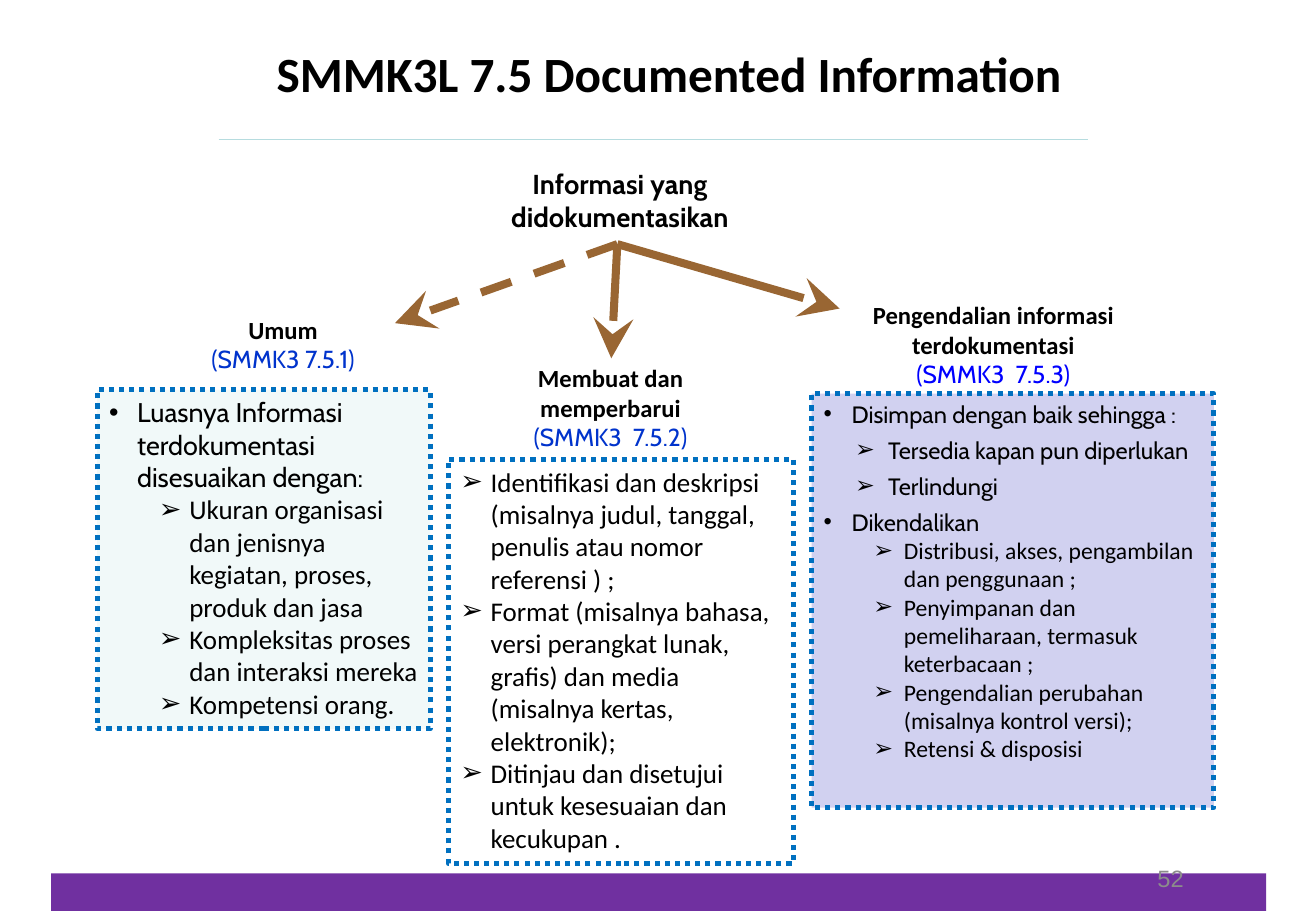
from lxml import etree
from pptx import Presentation
from pptx import util as u
from pptx.dml.color import RGBColor
from pptx.enum import dml, shapes, text
from pptx.oxml.ns import qn

COLORS = {
    "black": "000000", "bar": "7030A0", "border": "0070C0", "arrow": "996633",
    "rule": "B6DCDF", "number": "8C8C8C", "clause": "0033CC", "control": "0000FF",
    "mint": "F1F9F9", "white": "FFFFFF", "lavender": "D1D1F0",
}
LEVELS = {
    "point": (0, 0.23, -0.23, "•"),
    "step": (0, 0.25, -0.25, "➢"),
    "aim": (1, 0.53, -0.27, "➢"),
    "detail": (1, 0.66, -0.25, "➢"),
}

presentation = Presentation()
presentation.slide_width = u.Inches(10.83)
presentation.slide_height = u.Inches(7.5)
slide = presentation.slides.add_slide(presentation.slide_layouts[5])


def share(*percents):
    sides = (presentation.slide_width, presentation.slide_height)
    return [round(sides[i % 2] * percent / 100) for i, percent in enumerate(percents)]


def write(paragraph, words, size, font, color="black", bold=False, align=None):
    paragraph.text = words
    paragraph.alignment = align
    paragraph.font.size = u.Pt(size)
    paragraph.font.name = font
    paragraph.font.bold = bold
    paragraph.font.color.rgb = RGBColor.from_string(COLORS[color])


CENTER = text.PP_ALIGN.CENTER

bar = slide.shapes.add_shape(shapes.MSO_SHAPE.RECTANGLE, *share(3.88, 95.87, 92.34, 4.13))
bar.shadow.inherit = False
bar.fill.solid()
bar.fill.fore_color.rgb = RGBColor.from_string(COLORS["bar"])
bar.line.fill.background()

title = slide.shapes.title
title.left, title.top, title.width, title.height = share(17.82, 3.33, 66.02, 9.33)
title.text_frame.vertical_anchor = text.MSO_ANCHOR.MIDDLE
write(title.text_frame.paragraphs[0], "SMMK3L 7.5 Documented Information",
      29.2, "Calibri", bold=True, align=CENTER)

labels = [
    ((33.89, 17.73, 26.41, 8.67),
     [("Informasi yang didokumentasikan", 16.2, "Cabin", "black", True, CENTER)]),
    ((10.25, 33.87, 22.53, 7.87),
     [("Umum", 14.6, "Calibri", "black", True, CENTER),
      ("(SMMK3 7.5.1)", 14.6, "Cabin", "clause", False, CENTER)]),
    ((34.53, 39.2, 23.73, 11.2),
     [("Membuat dan memperbarui", 14.6, "Calibri", "black", True, CENTER),
      ("(SMMK3  7.5.2)", 14.6, "Cabin", "clause", False, CENTER)]),
    ((64.82, 32.27, 21.33, 11.2),
     [("Pengendalian informasi terdokumentasi", 14.6, "Calibri", "black", True, CENTER),
      ("(SMMK3  7.5.3)", 14.6, "Cabin", "control", False, CENTER)]),
    ((70.08, 94.13, 20.78, 5.33),
     [("52", 14, "Arial", "number", False, text.PP_ALIGN.RIGHT)]),
]
for place, lines in labels:
    frame = slide.shapes.add_textbox(*share(*place)).text_frame
    frame.word_wrap = True
    for i, line in enumerate(lines):
        write(frame.add_paragraph() if i else frame.paragraphs[0], *line)

panels = [
    ((7.39, 42.8, 25.3, 37.2), "mint", 16, [
        ("point", "Cabin", 0, "Luasnya Informasi terdokumentasi disesuaikan dengan:"),
        ("detail", "Calibri", 0, "Ukuran organisasi dan jenisnya kegiatan, proses, produk dan jasa"),
        ("detail", "Calibri", 0, "Kompleksitas proses dan interaksi mereka"),
        ("detail", "Calibri", 0, "Kompetensi orang."),
    ]),
    ((34.07, 50.4, 26.22, 44.4), "white", 16, [
        ("step", "Calibri", 0, "Identifikasi dan deskripsi (misalnya judul, tanggal, "
                               "penulis atau nomor referensi ) ;"),
        ("step", "Calibri", 0, "Format (misalnya bahasa, versi perangkat lunak, grafis) "
                               "dan media (misalnya kertas, elektronik);"),
        ("step", "Calibri", 0, "Ditinjau dan disetujui untuk kesesuaian dan kecukupan ."),
    ]),
    ((61.68, 43.2, 30.56, 45.47), "lavender", 14, [
        ("point", "Cabin", 0, "Disimpan dengan baik sehingga :"),
        ("aim", "Cabin", 4.5, "Tersedia kapan pun diperlukan"),
        ("aim", "Cabin", 4.5, "Terlindungi"),
        ("point", "Cabin", 4.5, "Dikendalikan"),
        ("detail", "Calibri", 0, "Distribusi, akses, pengambilan dan penggunaan ;"),
        ("detail", "Calibri", 0, "Penyimpanan dan pemeliharaan, termasuk keterbacaan ;"),
        ("detail", "Calibri", 0, "Pengendalian perubahan (misalnya kontrol versi);"),
        ("detail", "Calibri", 0, "Retensi & disposisi"),
    ]),
]
for place, fill, size, items in panels:
    panel = slide.shapes.add_shape(shapes.MSO_SHAPE.RECTANGLE, *share(*place))
    panel.shadow.inherit = False
    panel.fill.solid()
    panel.fill.fore_color.rgb = RGBColor.from_string(COLORS[fill])
    panel.line.color.rgb = RGBColor.from_string(COLORS["border"])
    panel.line.width = u.Pt(3)
    panel.line.dash_style = dml.MSO_LINE.ROUND_DOT
    frame = panel.text_frame
    frame.word_wrap = True
    frame.vertical_anchor = text.MSO_ANCHOR.TOP
    for i, (kind, font, space, words) in enumerate(items):
        paragraph = frame.add_paragraph() if i else frame.paragraphs[0]
        level, margin, indent, bullet = LEVELS[kind]
        paragraph.level = level
        paragraph.space_before = u.Pt(space)
        properties = paragraph._p.get_or_add_pPr()
        properties.set("marL", str(u.Inches(margin)))
        properties.set("indent", str(u.Inches(indent)))
        etree.SubElement(properties, qn("a:buFont"), typeface="Arial")
        etree.SubElement(properties, qn("a:buChar"), char=bullet)
        write(paragraph, words, size, font, align=text.PP_ALIGN.LEFT)

hub = (46.91, 26.8)
lines = [
    ((16.62, 15.33), (82.64, 15.33), "rule", 0.75, None),
    (hub, (46.45, 39.33), "arrow", 4.75, None),
    (hub, (63.8, 33.87), "arrow", 4.75, None),
    (hub, (30.01, 35.47), "arrow", 4.75, dml.MSO_LINE.DASH),
]
for start, end, color, width, dash in lines:
    connector = slide.shapes.add_connector(shapes.MSO_CONNECTOR.STRAIGHT, *share(*start, *end))
    connector.line.color.rgb = RGBColor.from_string(COLORS[color])
    connector.line.width = u.Pt(width)
    connector.line.dash_style = dash
    if color == "arrow":
        etree.SubElement(connector.line._get_or_add_ln(), qn("a:tailEnd"),
                         type="stealth", w="lg", len="lg")
    etree.SubElement(connector._element.spPr, qn("a:effectLst"))

presentation.save("out.pptx")
